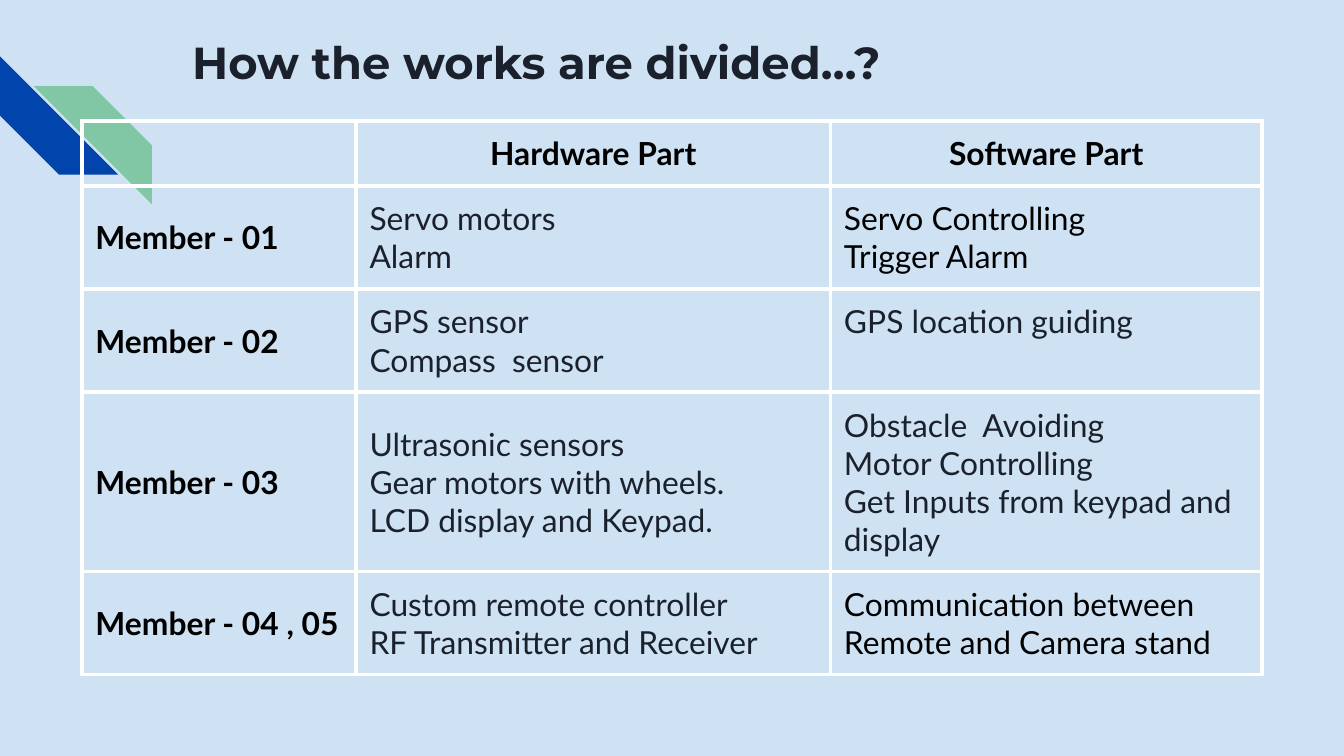
from lxml import etree
from pptx import Presentation
from pptx.dml.color import RGBColor
from pptx.enum.shapes import MSO_SHAPE as Shape
from pptx.enum.text import MSO_ANCHOR as Anchor, PP_ALIGN as Align
from pptx.oxml.ns import qn
from pptx.util import Inches, Pt

SKY = RGBColor(0xCF, 0xE2, 0xF3)
BLUE = RGBColor(0x01, 0x45, 0xAC)
GREEN = RGBColor(0x82, 0xC7, 0xA5)
INK = RGBColor(0x1B, 0x21, 0x2C)
BLACK = RGBColor(0, 0, 0)
WHITE = RGBColor(0xFF, 0xFF, 0xFF)

COLUMN_WIDTHS = [2.04, 3.53, 3.21]
ROW_HEIGHTS = [0.38, 0.76, 0.76, 0.76, 0.76]
HEADINGS = ["", "Hardware Part", "Software Part"]
MEMBERS = [
    ("Member - 01", "Servo motors\nAlarm", "Servo Controlling\nTrigger Alarm", BLACK),
    ("Member - 02", "GPS sensor\nCompass  sensor", "GPS location guiding", INK),
    ("Member - 03", "Ultrasonic sensors\nGear motors with wheels.\nLCD display and Keypad.",
     "Obstacle  Avoiding\nMotor Controlling\nGet Inputs from keypad and display", INK),
    ("Member - 04 , 05", "Custom remote controller\nRF Transmitter and Receiver",
     "Communication between Remote and Camera stand", BLACK),
]


def set_font(paragraph, name, size, color, bold):
    font = paragraph.font
    font.name, font.size, font.bold = name, Pt(size), bold
    font.color.rgb = color


def set_margins(target):
    target.margin_left = target.margin_right = Inches(0.1)
    target.margin_top = target.margin_bottom = Inches(0.1)


def add_stripe(slide, left, top, color, rotation):
    stripe = slide.shapes.add_shape(
        Shape.DIAGONAL_STRIPE, Inches(left), Inches(top), Inches(0.88), Inches(0.88))
    stripe.rotation = rotation
    stripe.shadow.inherit = False
    stripe.fill.solid()
    stripe.fill.fore_color.rgb = color
    stripe.line.fill.background()


def format_title(title):
    title.left, title.top = Inches(1.33), Inches(0.16)
    title.width, title.height = Inches(5.76), Inches(0.61)
    frame = title.text_frame
    frame.text = "How the works are divided…?"
    frame.vertical_anchor = Anchor.TOP
    set_margins(frame)
    paragraph = frame.paragraphs[0]
    paragraph.alignment = Align.LEFT
    set_font(paragraph, "Montserrat", 24, INK, True)


def set_borders(cell):
    properties = cell._tc.get_or_add_tcPr()
    for index, side in enumerate(("lnL", "lnR", "lnT", "lnB")):
        line = etree.Element(qn(f"a:{side}"), w=str(Pt(2.25)))
        fill = etree.SubElement(line, qn("a:solidFill"))
        etree.SubElement(fill, qn("a:srgbClr"), val=str(WHITE))
        properties.insert(index, line)


def fill_cell(cell, text, color=BLACK, bold=False, align=Align.LEFT, anchor=Anchor.TOP):
    cell.text = text
    cell.vertical_anchor = anchor
    set_margins(cell)
    cell.fill.background()
    set_borders(cell)
    for paragraph in cell.text_frame.paragraphs:
        paragraph.alignment = align
        set_font(paragraph, "Lato", 17, color, bold)


def add_work_table(slide):
    table = slide.shapes.add_table(
        len(ROW_HEIGHTS), len(COLUMN_WIDTHS), Inches(0.61), Inches(0.9),
        Inches(sum(COLUMN_WIDTHS)), Inches(sum(ROW_HEIGHTS))).table
    table.first_row = table.horz_banding = False
    for column, width in zip(table.columns, COLUMN_WIDTHS):
        column.width = Inches(width)
    for row, height in zip(table.rows, ROW_HEIGHTS):
        row.height = Inches(height)
    for index, heading in enumerate(HEADINGS):
        fill_cell(table.cell(0, index), heading, bold=True, align=Align.CENTER)
    for index, (member, hardware, software, color) in enumerate(MEMBERS, start=1):
        fill_cell(table.cell(index, 0), member, bold=True, anchor=Anchor.MIDDLE)
        fill_cell(table.cell(index, 1), hardware, INK, anchor=Anchor.MIDDLE)
        fill_cell(table.cell(index, 2), software, color)


def main():
    presentation = Presentation()
    presentation.slide_width = Inches(10)
    presentation.slide_height = presentation.slide_width * 9 // 16
    slide = presentation.slides.add_slide(presentation.slide_layouts[5])
    slide.background.fill.solid()
    slide.background.fill.fore_color.rgb = SKY
    add_stripe(slide, 0, 0.42, BLUE, 270)
    add_stripe(slide, 0.25, 0.64, GREEN, 90)
    format_title(slide.shapes.title)
    add_work_table(slide)
    presentation.save("out.pptx")


if __name__ == "__main__":
    main()
